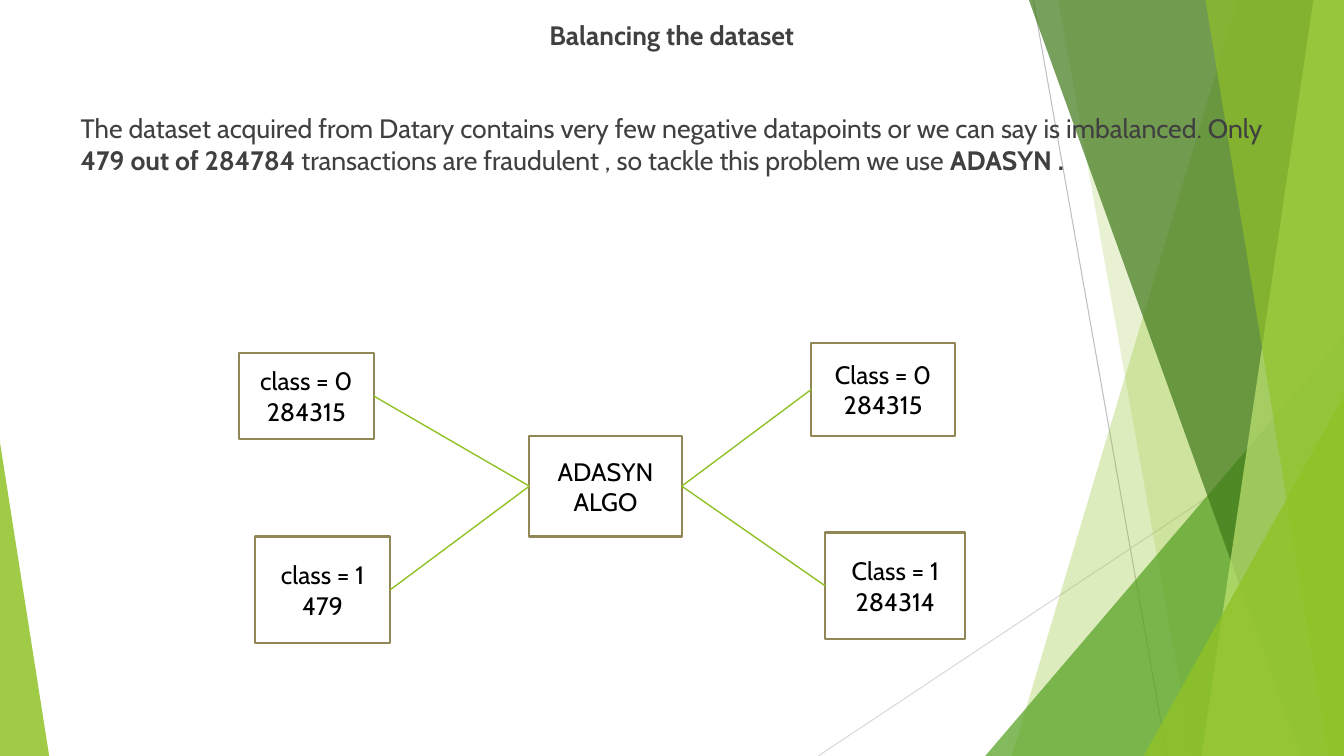
from lxml import etree
from pptx import Presentation
from pptx.dml.color import RGBColor
from pptx.enum.shapes import MSO_CONNECTOR, MSO_SHAPE
from pptx.enum.text import MSO_ANCHOR, MSO_AUTO_SIZE, PP_ALIGN
from pptx.oxml.ns import qn
from pptx.util import Cm, Pt

STRAIGHT = MSO_CONNECTOR.STRAIGHT
RECTANGLE = MSO_SHAPE.RECTANGLE
TRIANGLE = MSO_SHAPE.ISOSCELES_TRIANGLE
TOP, MIDDLE = MSO_ANCHOR.TOP, MSO_ANCHOR.MIDDLE
CENTER, JUSTIFY = PP_ALIGN.CENTER, PP_ALIGN.JUSTIFY
NO_AUTOFIT = MSO_AUTO_SIZE.NONE
LEFT_SITE, RIGHT_SITE = 1, 3

WIDTH, HEIGHT = 33.87, 19.05
FONT = "Cabin"
COLORS = {
    "lime": "90C226",
    "green": "54A021",
    "forest": "3F7819",
    "pale": "C0E474",
    "gray": "BFBFBF",
    "light_gray": "D9D9D9",
    "text": "404040",
    "black": "000000",
    "white": "FFFFFF",
    "olive": "918655",
}


def color(name):
    return RGBColor.from_string(COLORS[name])


def fill_facet(shape, fill, opacity):
    shape.shadow.inherit = False
    shape.line.fill.background()
    shape.fill.solid()
    shape.fill.fore_color.rgb = color(fill)
    tint = shape.element.find(".//" + qn("a:srgbClr"))
    etree.SubElement(tint, qn("a:alpha"), val=str(opacity * 1000))


def add_line(slide, start, end, line_color, width):
    points = [Cm(value) for value in (*start, *end)]
    line = slide.shapes.add_connector(STRAIGHT, *points)
    line.line.color.rgb = color(line_color)
    line.line.width = Pt(width)
    etree.SubElement(line.element.spPr, qn("a:effectLst"))
    return line


def add_band(slide, box, top_x, bottom_x, fill, opacity):
    left, top, width, height = box
    right, bottom = left + width, top + height
    corners = [(left + top_x, top), (right, top), (right, bottom), (left + bottom_x, bottom)]
    points = [(Cm(x), Cm(y)) for x, y in corners]
    builder = slide.shapes.build_freeform(*points[0], scale=1.0)
    builder.add_line_segments(points[1:], close=True)
    fill_facet(builder.convert_to_shape(), fill, opacity)


def add_corner(slide, box, width, height, apex, fill, opacity):
    left = box[0] + apex * (box[2] - width)
    top = box[1] + box[3] - height
    corner = slide.shapes.add_shape(TRIANGLE, Cm(left), Cm(top), Cm(width), Cm(height))
    corner.adjustments[0] = apex
    fill_facet(corner, fill, opacity)


def add_facets(slide, box):
    left, top, width, height = box
    bottom = top + height
    add_line(slide, (left + 26.04, top), (left + 29.41, bottom), "gray", 0.75)
    add_line(slide, (left + width, top + 10.24), (left + 20.62, bottom), "light_gray", 0.75)
    add_band(slide, box, 31.19, 25.5, "lime", 30)
    add_band(slide, box, 26.67, 30.05, "lime", 20)
    add_corner(slide, box, 9.04, 10.59, 1, "green", 72)
    add_band(slide, box, 25.93, 32.79, "forest", 70)
    add_band(slide, box, 33.1, 30.28, "pale", 70)
    add_band(slide, box, 30.38, 33.48, "lime", 65)
    add_corner(slide, box, 5.05, 9.07, 1, "lime", 80)
    add_corner(slide, box, 1.24, 7.9, 0, "lime", 85)


def add_run(paragraph, text, size=19, bold=False, font_color="text"):
    run = paragraph.add_run()
    run.text = text
    run.font.name = FONT
    run.font.size = Pt(size)
    run.font.bold = bold
    run.font.color.rgb = color(font_color)


def fill_placeholder(placeholder, box, runs, alignment):
    placeholder.left, placeholder.top, placeholder.width, placeholder.height = map(Cm, box)
    frame = placeholder.text_frame
    frame.word_wrap = True
    frame.auto_size = NO_AUTOFIT
    frame.vertical_anchor = TOP
    paragraph = frame.paragraphs[0]
    paragraph.alignment = alignment
    paragraph.space_before = Pt(0)
    for text, bold in runs:
        add_run(paragraph, text, bold=bold)
    properties = paragraph._p.get_or_add_pPr()
    properties.set("marL", "0")
    properties.set("indent", "0")
    etree.SubElement(properties, qn("a:buNone"))
    placeholder.element.getparent().append(placeholder.element)


def add_heading(slide, box):
    left, top, width, height = box
    title_height = 1.4
    fill_placeholder(
        slide.shapes.title,
        (left, top, width, title_height),
        [("Balancing the dataset", True)],
        CENTER,
    )
    body_offset = 2.33
    fill_placeholder(
        slide.placeholders[1],
        (left, top + body_offset, width, height - body_offset),
        [
            ("The dataset acquired from Datary contains very few negative datapoints "
             "or we can say is imbalanced. Only", False),
            (" 479 out of 284784 ", True),
            ("transactions are fraudulent , so tackle this problem we use ", False),
            ("ADASYN .", True),
        ],
        JUSTIFY,
    )


def add_node(slide, box, lines):
    node = slide.shapes.add_shape(RECTANGLE, *map(Cm, box))
    node.shadow.inherit = False
    node.fill.solid()
    node.fill.fore_color.rgb = color("white")
    node.line.color.rgb = color("olive")
    node.line.width = Pt(1.5)
    frame = node.text_frame
    frame.word_wrap = True
    frame.vertical_anchor = MIDDLE
    for index, text in enumerate(lines):
        paragraph = frame.add_paragraph() if index else frame.paragraphs[0]
        paragraph.alignment = CENTER
        add_run(paragraph, text, size=18, font_color="black")
    return node


def join(slide, source, target):
    link = add_line(slide, (0, 0), (1, 1), "lime", 1)
    link.begin_connect(source, RIGHT_SITE)
    link.end_connect(target, LEFT_SITE)


def add_diagram(slide, left, top):
    def node(x, y, width, height, *lines):
        return add_node(slide, (left + x, top + y, width, height), lines)

    inputs = [
        node(0, 0.25, 3.4, 2.18, "class = 0", "284315"),
        node(0.41, 4.88, 3.4, 2.69, "class = 1", "479"),
    ]
    algorithm = node(7.32, 2.34, 3.84, 2.54, "ADASYN", "ALGO")
    outputs = [
        node(14.43, 0, 3.61, 2.34, "Class = 0", "284315"),
        node(14.78, 4.78, 3.53, 2.69, "Class = 1", "284314"),
    ]
    for source in inputs:
        join(slide, source, algorithm)
    for target in outputs:
        join(slide, algorithm, target)


presentation = Presentation()
presentation.slide_width, presentation.slide_height = Cm(WIDTH), Cm(HEIGHT)
slide = presentation.slides.add_slide(presentation.slide_layouts[1])
add_facets(slide, (0, 0, WIDTH, HEIGHT))
add_heading(slide, (1.78, 0.36, 30.3, 5))
add_diagram(slide, 6.02, 8.64)
presentation.save("out.pptx")
